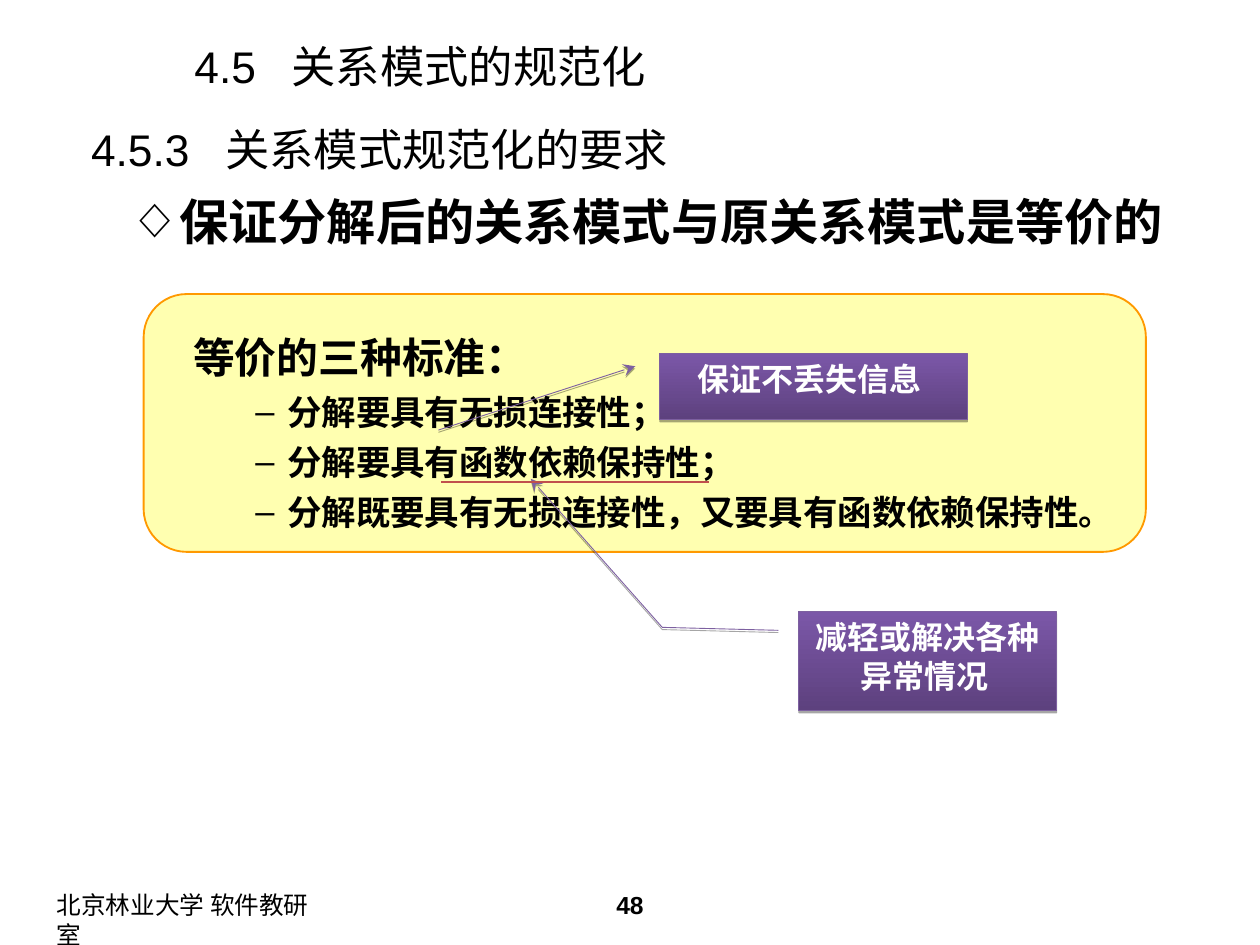
from lxml.etree import SubElement
from pptx import Presentation
from pptx.dml.color import RGBColor
from pptx.enum.shapes import MSO_CONNECTOR, MSO_SHAPE
from pptx.enum.text import MSO_ANCHOR, PP_ALIGN
from pptx.oxml.ns import qn
from pptx.util import Pt

COLORS = {
    "text": "000000",
    "light": "FFFFFF",
    "panel": "FFFF99",
    "panel_edge": "FF9900",
    "callout_dark": "5D417E",
    "callout_pale": "7B57A8",
    "callout_edge": "7D60A0",
    "underline": "C0504D",
}
FONT = "Arial"


def rgb(name):
    return RGBColor.from_string(COLORS[name])


def child(parent, tag, **attrs):
    return SubElement(parent, qn(tag), {k: str(v) for k, v in attrs.items()})


def set_margins(tf):
    tf.word_wrap = True
    tf.margin_left = tf.margin_right = Pt(10)
    tf.margin_top = tf.margin_bottom = Pt(5)


def write(p, text, size, color="text", bold=False, align=PP_ALIGN.LEFT):
    p.text = text
    p.alignment = align
    for r in p.runs:
        r.font.name = FONT
        r.font.size = Pt(size)
        r.font.bold = bold
        r.font.color.rgb = rgb(color)


def add_text_box(s, box, anchor=MSO_ANCHOR.TOP):
    tf = s.shapes.add_textbox(*map(Pt, box)).text_frame
    set_margins(tf)
    tf.vertical_anchor = anchor
    return tf


def add_title(s, box, number, title, tab):
    p = add_text_box(s, box, MSO_ANCHOR.MIDDLE).paragraphs[0]
    write(p, f"{number}\t{title}", 36)
    tabs = child(p._p.get_or_add_pPr(), "a:tabLst")
    child(tabs, "a:tab", pos=Pt(tab), algn="l")


def add_footer(s, box, department, number):
    left, top, width, height = box
    p = add_text_box(s, (left, top, 239, height)).paragraphs[0]
    write(p, department, 20)
    p = add_text_box(s, (left + 314, top, 324, height)).paragraphs[0]
    write(p, number, 20, bold=True, align=PP_ALIGN.CENTER)


def add_panel(s, box):
    sp = s.shapes.add_shape(MSO_SHAPE.FLOWCHART_ALTERNATE_PROCESS, *map(Pt, box))
    sp.shadow.inherit = False
    sp.fill.solid()
    sp.fill.fore_color.rgb = rgb("panel")
    color = sp._element.spPr.find(qn("a:solidFill")).find(qn("a:srgbClr"))
    child(color, "a:alpha", val=77000)
    sp.line.color.rgb = rgb("panel_edge")
    sp.line.width = Pt(1.5)


def add_body(s, box, heading, intro, criteria):
    tf = add_text_box(s, box)
    rows = [(heading, 40, 10, 91.5, -39.5, "◇"), (intro, 34, 66.5, 103, 0, None)]
    rows += [(text, 28, 7, 179.5, -26, "–") for text in criteria]
    for i, (text, size, before, margin, indent, bullet) in enumerate(rows):
        p = tf.add_paragraph() if i else tf.paragraphs[0]
        write(p, text, size, bold=True)
        p.space_before = Pt(before)
        pPr = p._p.get_or_add_pPr()
        pPr.set("marL", str(Pt(margin)))
        pPr.set("indent", str(Pt(indent)))
        if bullet:
            child(pPr, "a:buFont", typeface=FONT)
            child(pPr, "a:buChar", char=bullet)


def add_callout(s, box, preset, text, leader, arrow_end):
    sp = s.shapes.add_shape(preset, *map(Pt, box))
    for i, value in enumerate(leader):
        sp.adjustments[i] = value
    sp.fill.gradient()
    sp.fill.gradient_angle = 90
    for stop, name in zip(sp.fill.gradient_stops, ("callout_dark", "callout_pale")):
        stop.color.rgb = rgb(name)
    sp.line.color.rgb = rgb("callout_edge")
    sp.line.width = Pt(0.75)
    child(sp.line._get_or_add_ln(), arrow_end, type="stealth", w="lg", len="lg")
    sp.shadow.inherit = False
    effects = sp._element.spPr.find(qn("a:effectLst"))
    shadow = child(effects, "a:outerShdw", dist=Pt(1.8), dir=5400000, rotWithShape=0)
    color = child(shadow, "a:srgbClr", val=COLORS["text"])
    child(color, "a:alpha", val=35000)
    tf = sp.text_frame
    set_margins(tf)
    tf.vertical_anchor = MSO_ANCHOR.TOP
    write(tf.paragraphs[0], text, 26, "light", True, PP_ALIGN.CENTER)


def add_underline(s, left, top, width):
    c = s.shapes.add_connector(
        MSO_CONNECTOR.STRAIGHT, Pt(left), Pt(top), Pt(left + width), Pt(top))
    c.line.color.rgb = rgb("underline")
    c.line.width = Pt(1.5)
    child(c._element.spPr, "a:effectLst")
    c._element.remove(c._element.find(qn("p:style")))


def main():
    prs = Presentation()
    prs.slide_width, prs.slide_height = Pt(1024), Pt(768)
    s = prs.slides.add_slide(prs.slide_layouts[6])
    add_footer(s, (36, 718.5, 638, 40), "北京林业大学 软件教研室", "48")
    add_panel(s, (116.75, 239, 814.5, 209.5))
    add_title(s, (64, 100.5, 852, 41), "4.5.3", "关系模式规范化的要求", 109)
    add_body(
        s, (44, 150.5, 935, 548),
        "保证分解后的关系模式与原关系模式是等价的",
        "等价的三种标准：",
        ["分解要具有无损连接性；",
         "分解要具有函数依赖保持性；",
         "分解既要具有无损连接性，又要具有函数依赖保持性。"])
    add_callout(
        s, (536.25, 287.5, 250, 53.5), MSO_SHAPE.LINE_CALLOUT_1,
        "保证不丢失信息 ", (0.19, -0.08, 1.16, -0.72), "a:headEnd")
    add_callout(
        s, (649.25, 497, 209.5, 80.5), MSO_SHAPE.LINE_CALLOUT_2,
        "减轻或解决各种异常情况 ",
        (0.19, -0.08, 0.16, -0.53, -1.34, -1.04), "a:tailEnd")
    add_underline(s, 358.5, 391.75, 218)
    add_title(s, (148, 32.75, 852, 41), "4.5", "关系模式的规范化", 79)
    prs.save("out.pptx")


if __name__ == "__main__":
    main()
